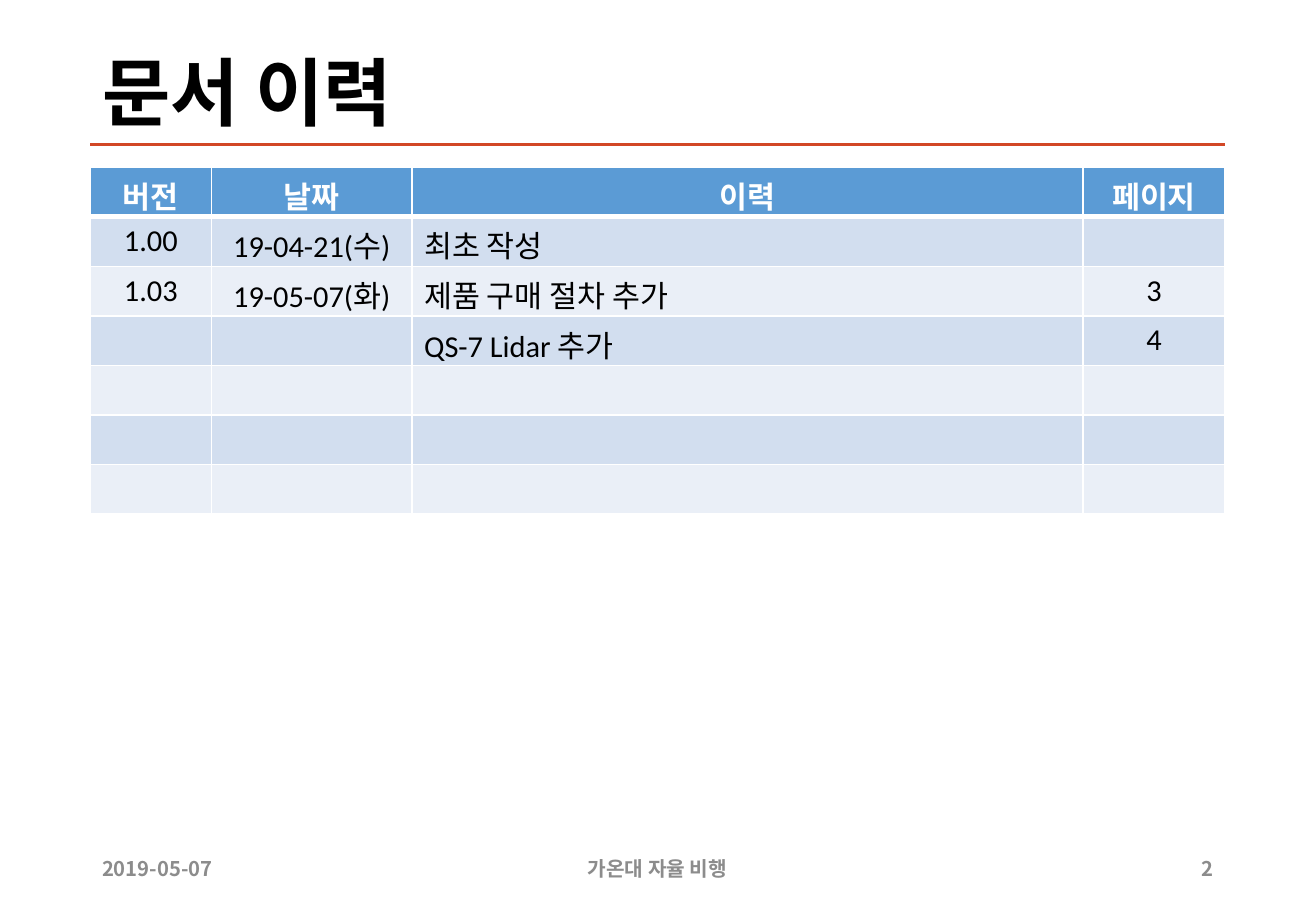
from lxml import etree
from pptx import Presentation
from pptx import util as u
from pptx.dml.color import RGBColor
from pptx.enum import shapes, text
from pptx.oxml import ns

PX = 7620  # EMU in one px, 120 px to the inch
BLACK = RGBColor(0x00, 0x00, 0x00)
WHITE = RGBColor(0xFF, 0xFF, 0xFF)
GREY = RGBColor(0x8C, 0x8C, 0x8C)
RED = RGBColor(0xD2, 0x47, 0x26)
BLUE = RGBColor(0x5B, 0x9B, 0xD5)
BANDS = (RGBColor(0xD2, 0xDE, 0xEF), RGBColor(0xEA, 0xEF, 0xF7))
LEFT, CENTER, RIGHT = (text.PP_ALIGN.LEFT, text.PP_ALIGN.CENTER,
                       text.PP_ALIGN.RIGHT)

COLS = (120, 198, 663, 140)
ROW = 49
HEAD = ("버전", "날짜", "이력", "페이지")
LOG = (
    ("1.00", "19-04-21(수)", "최초 작성", ""),
    ("1.03", "19-05-07(화)", "제품 구매 절차 추가", "3"),
    ("", "", "QS-7 Lidar 추가", "4"),
    ("",) * 4,
    ("",) * 4,
    ("",) * 4,
)


def px(*vals):
    return [u.Emu(v * PX) for v in vals]


def write(frame, words, size=18, font="Calibri", color=BLACK, bold=False,
          align=LEFT, lead=None):
    par = frame.paragraphs[0]
    par.alignment = align
    if lead:
        par.line_spacing = lead
    par.font.size = u.Pt(size)
    if words:
        run = par.add_run()
        run.text = words
        run.font.size = u.Pt(size)
        run.font.name = font
        run.font.bold = bold
        run.font.color.rgb = color


def label(slide, box, words, **form):
    frame = slide.shapes.add_textbox(*px(*box)).text_frame
    frame.word_wrap = True
    frame.vertical_anchor = text.MSO_ANCHOR.MIDDLE
    write(frame, words, **form)


def header(slide, x, y, w, h):
    """Title with a red rule along the bottom of its box."""
    label(slide, (x, y, w, h), "문서 이력", size=44, bold=True,
          font="Times New Roman", lead=0.9)
    rule = slide.shapes.add_connector(
        shapes.MSO_CONNECTOR.STRAIGHT, *px(x, y + h, x + w, y + h))
    rule.line.color.rgb = RED
    rule.line.width = u.Pt(2)
    etree.SubElement(rule._element.spPr, ns.qn("a:effectLst"))


def edge(cell, side, width):
    """White border on one side: L, R, T or B."""
    line = etree.Element(ns.qn("a:ln" + side), w=str(u.Pt(width)))
    fill = etree.SubElement(line, ns.qn("a:solidFill"))
    etree.SubElement(fill, ns.qn("a:srgbClr"), val=str(WHITE))
    cell._tc.get_or_add_tcPr().append(line)


def history(slide, x, y):
    """Table of versions, its rows in two alternating tints."""
    rows = (HEAD,) + LOG
    box = px(x, y, sum(COLS), ROW * len(rows))
    grid = slide.shapes.add_table(len(rows), len(COLS), *box).table
    for col, wide in zip(grid.columns, px(*COLS)):
        col.width = wide
    for r, row in enumerate(rows):
        grid.rows[r].height = px(ROW)[0]
        top = r == 0
        for c, words in enumerate(row):
            cell = grid.cell(r, c)
            write(cell.text_frame, words, bold=top,
                  color=WHITE if top else BLACK,
                  align=LEFT if c == 2 and not top else CENTER)
            for side in "LRTB":
                thick = (top and side == "B") or (r == 1 and side == "T")
                edge(cell, side, 3 if thick else 1)
            cell.fill.solid()
            cell.fill.fore_color.rgb = BLUE if top else BANDS[(r - 1) % 2]


def footer(slide, x, y, w, h):
    """Date, name and page number: left, middle and right of the box."""
    parts = (("2019-05-07", 152, 0, LEFT),
             ("가온대 자율 비행", 439, 0.5, CENTER),
             ("2", 64, 1, RIGHT))
    for words, wide, share, align in parts:
        left = x + round((w - wide) * share)
        label(slide, (left, y, wide, h), words, size=12, bold=True,
              font="Noto Sans CJK KR", color=GREY, align=align)


def main():
    deck = Presentation()
    deck.slide_width, deck.slide_height = px(1300, 900)
    slide = deck.slides.add_slide(deck.slide_layouts[6])
    wide = sum(COLS)
    header(slide, 89, 48, wide, 95)
    history(slide, 89, 165)
    footer(slide, 89, 834, wide, 48)
    deck.save("out.pptx")


if __name__ == "__main__":
    main()
